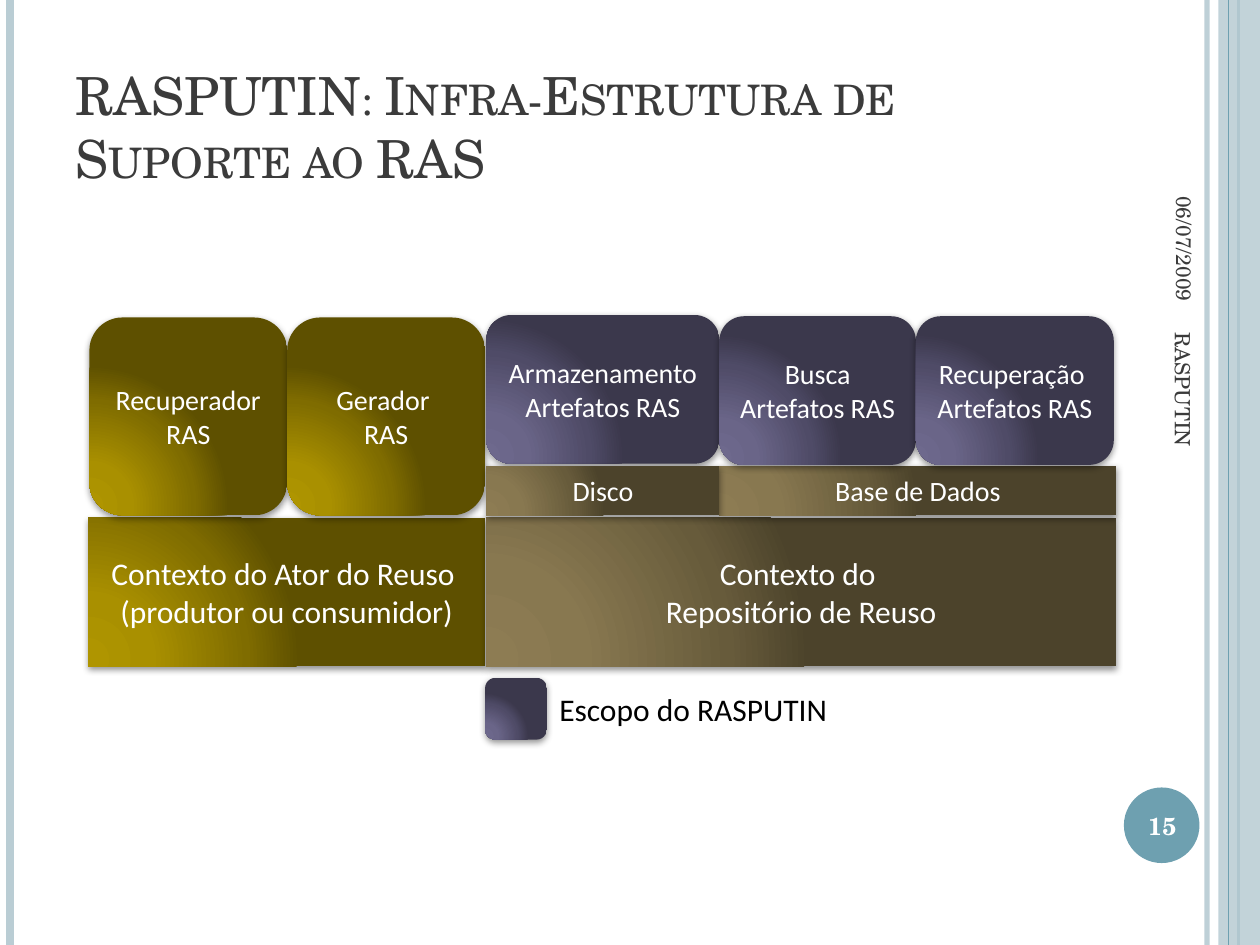
from dataclasses import dataclass

from lxml.etree import SubElement
from pptx import Presentation
from pptx.dml.color import RGBColor
from pptx.enum.shapes import MSO_CONNECTOR, MSO_SHAPE
from pptx.enum.text import MSO_ANCHOR, PP_ALIGN
from pptx.oxml import parse_xml
from pptx.oxml.ns import nsdecls, qn
from pptx.util import Inches, Pt

COLORS = {
    "pale": "BACDD4",
    "teal": "6EA0B0",
    "heading": "3B3B3B",
    "white": "FFFFFF",
    "black": "000000",
}
GRADIENTS = {
    "actor": ("AF9500", "A99000", "7F6C00", "5E5000"),
    "repository": ("8D7C53", "887850", "675B3B", "4C432B"),
    "scope": ("6E698D", "6A6588", "4F4B67", "3B384C"),
}
GRADIENT_POSITIONS = (0, 30, 75, 100)
SERIF, SANS = "TeX Gyre Schola", "Calibri"
SLIDE_HEIGHT = 7.5


@dataclass
class Rule:
    x: float
    width: float
    color: str
    opacity: int = 100


@dataclass
class Block:
    left: float
    top: float
    width: float
    height: float
    gradient: str
    text: str = ""
    size: int = 16
    rounded: bool = False


RULES = (
    Rule(9.58, 3, "pale", 93),
    Rule(0.08, 4.5, "pale"),
    Rule(9.83, 1.5, "teal"),
)
INNER_RULE = Rule(9.75, 0.75, "teal")

# Column edges and row tops shared by the blocks of the diagram
ACTOR_X, REPOSITORY_X, DATABASE_X = 0.7, 3.86, 5.71
STORAGE_Y, CONTEXT_Y = 3.7, 4.11
BLOCKS = (
    Block(ACTOR_X, CONTEXT_Y, 3.15, 1.18, "actor",
          "Contexto do Ator do Reuso \v(produtor ou consumidor)", 18),
    Block(REPOSITORY_X, CONTEXT_Y, 5, 1.18, "repository",
          "Contexto do \vRepositório de Reuso", 18),
    Block(0.71, 2.52, 1.57, 1.57, "actor", "Recuperador RAS", rounded=True),
    Block(2.28, 2.52, 1.57, 1.57, "actor", "Gerador \vRAS", rounded=True),
    Block(REPOSITORY_X, 2.5, 1.85, 1.18, "scope",
          "Armazenamento Artefatos RAS", rounded=True),
    Block(DATABASE_X, STORAGE_Y, 3.15, 0.39, "repository", "Base de Dados"),
    Block(DATABASE_X, 2.51, 1.56, 1.18, "scope",
          "Busca Artefatos RAS", rounded=True),
    Block(7.27, 2.51, 1.57, 1.18, "scope",
          "Recuperação \nArtefatos RAS", rounded=True),
    Block(3.85, 5.38, 0.49, 0.49, "scope", rounded=True),
    Block(REPOSITORY_X, STORAGE_Y, 1.85, 0.39, "repository", "Disco"),
)


def rgb(name: str) -> RGBColor:
    return RGBColor.from_string(COLORS[name])


def set_opacity(element, percent: int) -> None:
    """Make the solid colour inside the element partly transparent."""
    color = next(element.iter(qn("a:srgbClr")))
    SubElement(color, qn("a:alpha"), val=str(percent * 1000))


def write_text(shape, text: str, *, size: int, font: str = SANS,
               color: str = "white", bold: bool = False,
               small_caps: bool = False, align=PP_ALIGN.LEFT,
               anchor=MSO_ANCHOR.MIDDLE, wrap: bool = True) -> None:
    frame = shape.text_frame
    frame.word_wrap = wrap
    frame.vertical_anchor = anchor
    frame.text = text
    for paragraph in frame.paragraphs:
        paragraph.alignment = align
        for run in paragraph.runs:
            run.font.size = Pt(size)
            run.font.name = font
            run.font.bold = bold
            run.font.color.rgb = rgb(color)
            if small_caps:
                run.font._element.set("cap", "small")


def add_text(slide, left: float, top: float, width: float, height: float,
             text: str, rotation: int = 0, **text_format) -> None:
    box = slide.shapes.add_textbox(
        Inches(left), Inches(top), Inches(width), Inches(height))
    box.rotation = rotation
    write_text(box, text, **text_format)


def add_rule(slide, rule: Rule) -> None:
    connector = slide.shapes.add_connector(
        MSO_CONNECTOR.STRAIGHT, Inches(rule.x), 0,
        Inches(rule.x), Inches(SLIDE_HEIGHT))
    connector.line.width = Pt(rule.width)
    connector.line.color.rgb = rgb(rule.color)
    properties = connector._element.spPr
    if rule.opacity < 100:
        set_opacity(properties, rule.opacity)
    SubElement(properties, qn("a:effectLst"))


def add_plain_shape(slide, kind, left: float, top: float, width: float,
                    height: float):
    shape = slide.shapes.add_shape(
        kind, Inches(left), Inches(top), Inches(width), Inches(height))
    shape.shadow.inherit = False
    shape.line.fill.background()
    return shape


def fill_radially(shape, colors: tuple[str, ...]) -> None:
    """Spread the colours in circles from the lower left corner."""
    stops = "".join(
        f'<a:gs pos="{position * 1000}"><a:srgbClr val="{color}"/></a:gs>'
        for position, color in zip(GRADIENT_POSITIONS, colors))
    gradient = parse_xml(
        f'<a:gradFill {nsdecls("a")} rotWithShape="1"><a:gsLst>{stops}</a:gsLst>'
        '<a:path path="circle"><a:fillToRect l="5000" t="100000" '
        'r="120000" b="10000"/></a:path></a:gradFill>')
    shape.fill.background()
    properties = shape._element.spPr
    properties.replace(properties.find(qn("a:noFill")), gradient)


def add_shadow(shape) -> None:
    effects = shape._element.spPr.find(qn("a:effectLst"))
    effects.append(parse_xml(
        f'<a:outerShdw {nsdecls("a")} blurRad="{Pt(4)}" dist="{Pt(1.6)}" '
        'dir="5400000" rotWithShape="0"><a:srgbClr val="000000">'
        '<a:alpha val="42000"/></a:srgbClr></a:outerShdw>'))


def add_block(slide, block: Block) -> None:
    kind = MSO_SHAPE.ROUNDED_RECTANGLE if block.rounded else MSO_SHAPE.RECTANGLE
    shape = add_plain_shape(
        slide, kind, block.left, block.top, block.width, block.height)
    fill_radially(shape, GRADIENTS[block.gradient])
    add_shadow(shape)
    if block.text:
        write_text(shape, block.text, size=block.size, align=PP_ALIGN.CENTER)


def add_frame(slide) -> None:
    """Draw the side rules, the right band and the page number disc."""
    for rule in RULES:
        add_rule(slide, rule)
    band = add_plain_shape(
        slide, MSO_SHAPE.RECTANGLE, 9.67, 0, 0.33, SLIDE_HEIGHT)
    band.fill.solid()
    band.fill.fore_color.rgb = rgb("pale")
    set_opacity(band._element.spPr, 87)
    add_rule(slide, INNER_RULE)
    disc = add_plain_shape(slide, MSO_SHAPE.OVAL, 8.92, 6.25, 0.6, 0.6)
    disc.fill.solid()
    disc.fill.fore_color.rgb = rgb("teal")


def main() -> None:
    presentation = Presentation()
    presentation.slide_width = Inches(10)
    presentation.slide_height = Inches(SLIDE_HEIGHT)
    slide = presentation.slides.add_slide(presentation.slide_layouts[6])

    add_frame(slide)
    add_text(slide, 0.5, 0.3, 8.17, 1.25,
             "RASPUTIN: Infra-Estrutura de Suporte ao RAS", size=30, font=SERIF,
             color="heading", small_caps=True, anchor=MSO_ANCHOR.BOTTOM)
    add_text(slide, 8.3, 1.18, 2.2, 0.42, "06/07/2009", rotation=90, size=12,
             font=SERIF, color="heading", align=PP_ALIGN.RIGHT)
    add_text(slide, 8.89, 6.27, 0.67, 0.57, "15", size=14, font=SERIF,
             bold=True, align=PP_ALIGN.CENTER)
    add_text(slide, 7.64, 4.09, 3.5, 0.4, "RASPUTIN", rotation=90, size=12,
             font=SERIF, color="heading")
    for block in BLOCKS:
        add_block(slide, block)
    add_text(slide, 4.34, 5.43, 2.35, 0.4, "Escopo do RASPUTIN", size=18,
             color="black", anchor=MSO_ANCHOR.TOP, wrap=False)

    presentation.save("out.pptx")


if __name__ == "__main__":
    main()
